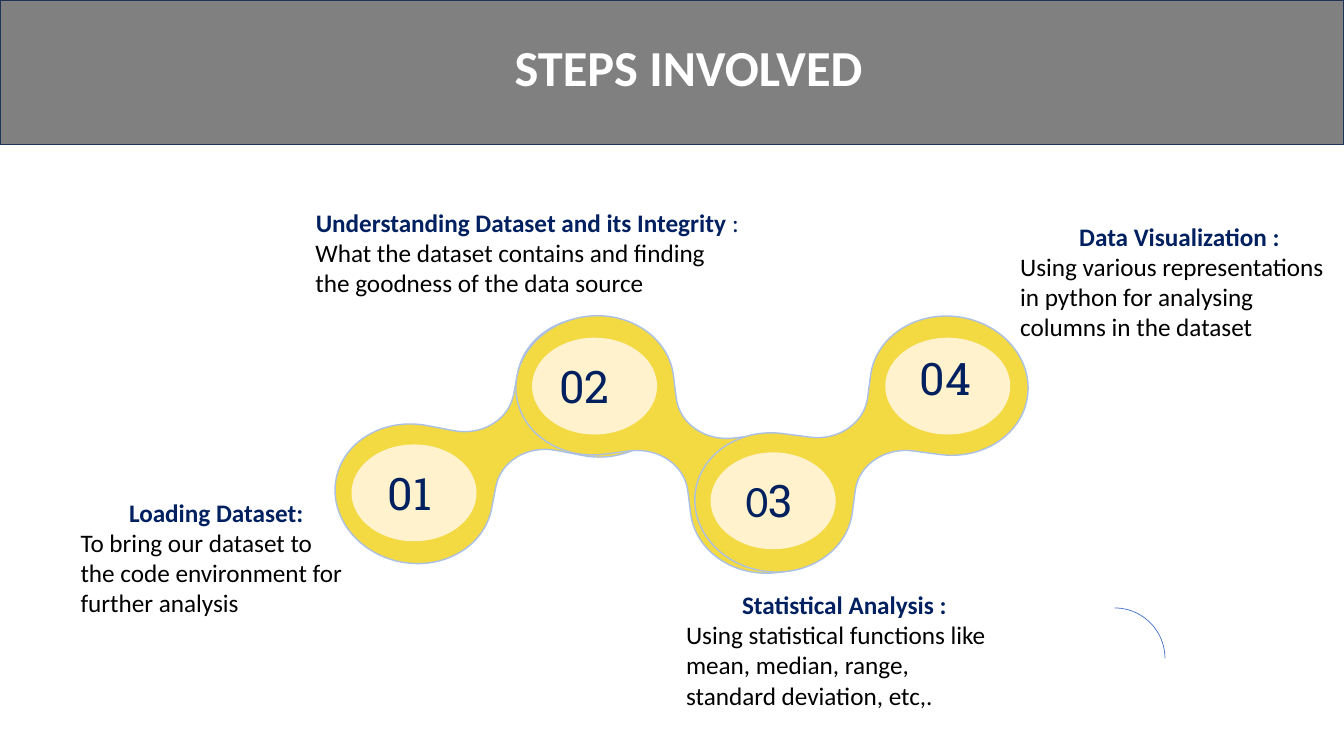
import pptx
import pptx.dml.color
import pptx.enum.shapes
import pptx.enum.text
import pptx.oxml.ns
import pptx.util

Cm = pptx.util.Cm
Shape = pptx.enum.shapes.MSO_SHAPE
Align = pptx.enum.text.PP_ALIGN

NAVY, BLACK, WHITE = "002060", "000000", "FFFFFF"
YELLOW, CREAM, PALE_BLUE = "F3DA43", "FFF2CC", "ABC0E4"

# Text formats
TITLE = {"name": "Calibri", "size": 36, "bold": True, "color": WHITE}
HEADING = {"name": "Calibri", "size": 18, "bold": True, "color": NAVY}
COLON = {**HEADING, "bold": False}
BODY = {**COLON, "color": BLACK}
NUMBER = {"name": "Roboto Slab", "size": 32, "bold": False, "color": NAVY}
PLAIN_NUMBER = {**NUMBER, "name": "Calibri"}

# Half outline of a link, in cm from its centre: three points make a
# curve, one makes a line. The other half is its point reflection.
LINK_START = (1.99, -3.5)
LINK_HALF = [
    [(3.09, -3.5), (3.99, -2.72), (3.99, -1.75)],
    [(3.99, -0.78), (3.09, 0), (1.99, 0)],
    [(1.32, 0)],
    [(0.59, 0), (0, 0.53), (0, 1.18)],
    [(0, 1.75)],
    [(0, 2.72), (-0.9, 3.5), (-1.99, 3.5)],
]

# Centre x, centre y, rotation, whether x and y change places
LINKS = [
    (12.72, 11.1, 10.9, False),
    (17.19, 11.2, 262.9, True),
    (21.71, 11.19, 7.6, False),
]

# Disc left and top, number left, top and width, number runs
STEPS = [
    (8.86, 11.2, 9.52, 11.61, 2.36, [("01", NUMBER)]),
    (13.41, 8.51, 13.84, 8.92, 18.16, [("02", NUMBER)]),
    (17.91, 11.4, 18.54, 11.79, 16.94, [("0", PLAIN_NUMBER), ("3", NUMBER)]),
    (22.31, 8.51, 22.93, 8.71, 17.93, [("04", NUMBER)]),
]

# Left, top, width, height, heading runs, body
NOTES = [
    (1.78, 12.4, 7.34, 3.33, [("Loading Dataset:", HEADING)],
     "To bring our dataset to the code environment for further analysis"),
    (25.46, 5.44, 8.53, 3.33, [("Data Visualization :", HEADING)],
     "Using various representations in python for analysing columns "
     "in the dataset"),
    (17.04, 14.72, 8.48, 3.33, [("Statistical Analysis :", HEADING)],
     "Using statistical functions like mean, median, range, "
     "standard deviation, etc,."),
    (7.7, 5.1, 11.18, 2.57,
     [("Understanding Dataset and its Integrity ", HEADING), (":", COLON)],
     "What the dataset contains and finding the goodness "
     "of the data source"),
]


def color(value):
    return pptx.dml.color.RGBColor.from_string(value)


def paint(shape, fill=None, line=None, weight=1):
    shape.shadow.inherit = False
    if fill:
        shape.fill.solid()
        shape.fill.fore_color.rgb = color(fill)
    else:
        shape.fill.background()
    if line:
        shape.line.color.rgb = color(line)
        shape.line.width = pptx.util.Pt(weight)
    else:
        shape.line.fill.background()


def add_figure(page, kind, left, top, width, height, **look):
    shape = page.shapes.add_shape(kind, Cm(left), Cm(top), Cm(width), Cm(height))
    paint(shape, **look)


def add_text(page, left, top, width, height, paragraphs):
    """Each paragraph is an alignment and a list of (text, format) runs."""
    box = page.shapes.add_textbox(Cm(left), Cm(top), Cm(width), Cm(height))
    frame = box.text_frame
    frame.word_wrap = True
    frame.auto_size = pptx.enum.text.MSO_AUTO_SIZE.SHAPE_TO_FIT_TEXT
    for index, (alignment, runs) in enumerate(paragraphs):
        para = frame.add_paragraph() if index else frame.paragraphs[0]
        para.alignment = alignment
        for text, look in runs:
            span = para.add_run()
            span.text = text
            for key, value in look.items():
                if key == "color":
                    span.font.color.rgb = color(value)
                elif key == "size":
                    span.font.size = pptx.util.Pt(value)
                else:
                    setattr(span.font, key, value)


def bend(shape, segments):
    """Turn each run of three line segments into one Bezier curve."""
    steps = iter(shape.element.xpath(".//a:path/a:lnTo"))
    for segment in segments:
        first, *others = [next(steps) for _ in segment]
        if others:
            first.tag = pptx.oxml.ns.qn("a:cubicBezTo")
        for other in others:
            first.append(other[0])
            other.getparent().remove(other)


def add_link(page, center_x, center_y, rotation, swapped):
    def place(point):
        x, y = point[::-1] if swapped else point
        return Cm(center_x + x), Cm(center_y + y)

    reflected = [[(-x, -y) for x, y in segment] for segment in LINK_HALF]
    segments = LINK_HALF + reflected
    builder = page.shapes.build_freeform(*place(LINK_START))
    builder.add_line_segments(
        [place(point) for segment in segments for point in segment], close=True)
    link = builder.convert_to_shape()
    bend(link, segments)
    link.rotation = rotation
    paint(link, fill=YELLOW, line=PALE_BLUE)


def main():
    deck = pptx.Presentation()
    deck.slide_width, deck.slide_height = Cm(33.87), Cm(19.05)
    page = deck.slides.add_slide(deck.slide_layouts[6])

    # Chain of numbered steps
    for link in LINKS:
        add_link(page, *link)
    for left, top, *_ in STEPS:
        add_figure(page, Shape.OVAL, left, top, 3.15, 2.44, fill=CREAM)
    for _, _, left, top, width, runs in STEPS:
        add_text(page, left, top, width, 1.63, [(Align.LEFT, runs)])

    # Title band
    add_figure(page, Shape.RECTANGLE, 0, 0, 33.87, 3.64,
               fill="808080", line="1E3256")
    add_text(page, 12.72, 0.79, 17.55, 1.8,
             [(Align.LEFT, [("STEPS INVOLVED", TITLE)])])

    # Step descriptions
    for left, top, width, height, heading, body in NOTES:
        add_text(page, left, top, width, height,
                 [(Align.CENTER, heading), (Align.LEFT, [(body, BODY)])])

    # Decorative arc
    add_figure(page, Shape.ARC, 26.82, 15.32, 2.54, 2.54,
               line="4472C4", weight=0.5)

    deck.save("out.pptx")


if __name__ == "__main__":
    main()
